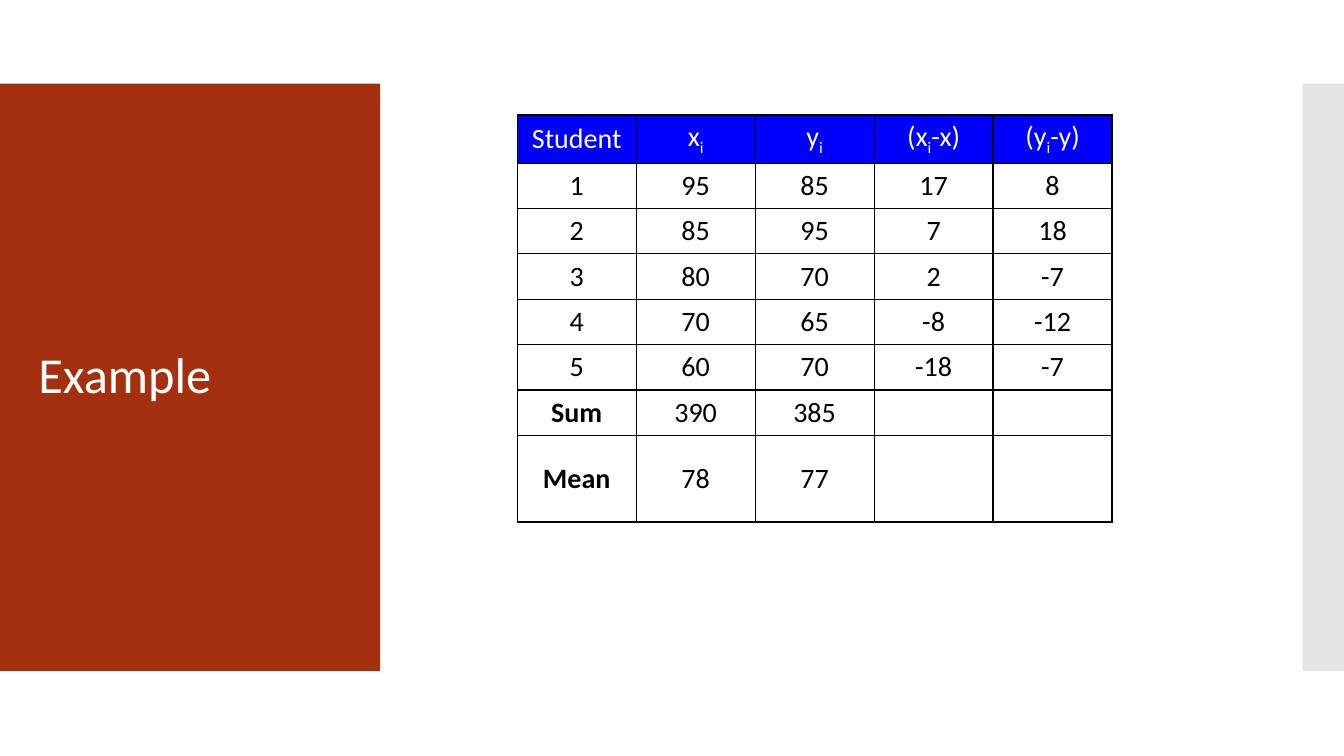
"""Build the slide with the worked example of student scores."""
from lxml.etree import SubElement
from pptx import Presentation
from pptx.dml.color import RGBColor
from pptx.enum.shapes import MSO_SHAPE
from pptx.enum.text import MSO_ANCHOR, MSO_AUTO_SIZE, PP_ALIGN
from pptx.oxml.ns import qn
from pptx.util import Inches, Pt

RUST = RGBColor(0xA5, 0x30, 0x0F)
PALE_GREY = RGBColor(0xE3, 0xE3, 0xE3)
BLUE = RGBColor(0x00, 0x00, 0xFF)
WHITE = RGBColor(0xFF, 0xFF, 0xFF)
BLACK = RGBColor(0x00, 0x00, 0x00)
FONT = "Calibri"

HEADINGS = [
    ["Student"],
    ["x", "i"],
    ["y", "i"],
    ["(x", "i", "-x)"],
    ["(y", "i", "-y)"],
]
SCORES = [
    ["1", "95", "85", "17", "8"],
    ["2", "85", "95", "7", "18"],
    ["3", "80", "70", "2", "-7"],
    ["4", "70", "65", "-8", "-12"],
    ["5", "60", "70", "-18", "-7"],
    ["Sum", "390", "385", "", ""],
    ["Mean", "78", "77", "", ""],
]
SUMMARIES = ("Sum", "Mean")


def add_panel(slide, left, width, color):
    """Add a plain vertical band of the slide's frame."""
    panel = slide.shapes.add_shape(
        MSO_SHAPE.RECTANGLE, Inches(left), Inches(0.83), Inches(width), Inches(5.83)
    )
    panel.shadow.inherit = False
    panel.fill.solid()
    panel.fill.fore_color.rgb = color
    panel.line.fill.background()


def add_run(paragraph, text, size, color, bold=False):
    """Add one formatted run and return it."""
    run = paragraph.add_run()
    run.text = text
    run.font.name = FONT
    run.font.size = Pt(size)
    run.font.bold = bold
    run.font.color.rgb = color
    return run


def set_title(slide, text):
    """Place the title in front of the left band."""
    title = slide.shapes.title
    title.left, title.top = Inches(0.28), Inches(1.23)
    title.width, title.height = Inches(3.22), Inches(5.03)
    frame = title.text_frame
    frame.word_wrap = True
    frame.auto_size = MSO_AUTO_SIZE.NONE
    frame.vertical_anchor = MSO_ANCHOR.MIDDLE
    paragraph = frame.paragraphs[0]
    paragraph.alignment = PP_ALIGN.LEFT
    paragraph.line_spacing = 0.9
    add_run(paragraph, text, 36, WHITE)
    slide.shapes.element.append(title.element)


def add_borders(cell):
    """Draw a thin black line on all four sides of a cell."""
    properties = cell._tc.get_or_add_tcPr()
    for side in ("a:lnL", "a:lnR", "a:lnT", "a:lnB"):
        line = SubElement(properties, qn(side), w=str(Pt(1)))
        fill = SubElement(line, qn("a:solidFill"))
        SubElement(fill, qn("a:srgbClr"), val=str(BLACK))


def fill_cell(cell, pieces, background, color):
    """Write a cell whose every second piece is a subscript."""
    add_borders(cell)
    cell.fill.solid()
    cell.fill.fore_color.rgb = background
    cell.vertical_anchor = MSO_ANCHOR.MIDDLE
    paragraph = cell.text_frame.paragraphs[0]
    paragraph.alignment = PP_ALIGN.CENTER
    for index, piece in enumerate(pieces):
        if piece:
            run = add_run(paragraph, piece, 20, color, piece in SUMMARIES)
            if index % 2:
                run.font._element.set("baseline", "-25000")


def add_score_table(slide):
    """Add the table of scores, deviations, sums and means."""
    row_count, column_count = len(SCORES) + 1, len(HEADINGS)
    scores = slide.shapes.add_table(
        row_count, column_count, Inches(5.13), Inches(1.14), Inches(5.91), Inches(4.01)
    ).table
    for column in scores.columns:
        column.width = Inches(1.18)
    for row in scores.rows:
        row.height = Inches(0.45)
    scores.rows[row_count - 1].height = Inches(0.86)
    for column, pieces in enumerate(HEADINGS):
        fill_cell(scores.cell(0, column), pieces, BLUE, WHITE)
    for row, values in enumerate(SCORES, start=1):
        for column, value in enumerate(values):
            fill_cell(scores.cell(row, column), [value], WHITE, BLACK)


def main():
    """Build and save the slide."""
    presentation = Presentation()
    presentation.slide_width = Inches(13.33)
    presentation.slide_height = Inches(7.5)
    slide = presentation.slides.add_slide(presentation.slide_layouts[5])
    add_panel(slide, 0, 3.77, RUST)
    add_panel(slide, 12.92, 0.41, PALE_GREY)
    set_title(slide, "Example")
    add_score_table(slide)
    presentation.save("out.pptx")


if __name__ == "__main__":
    main()
